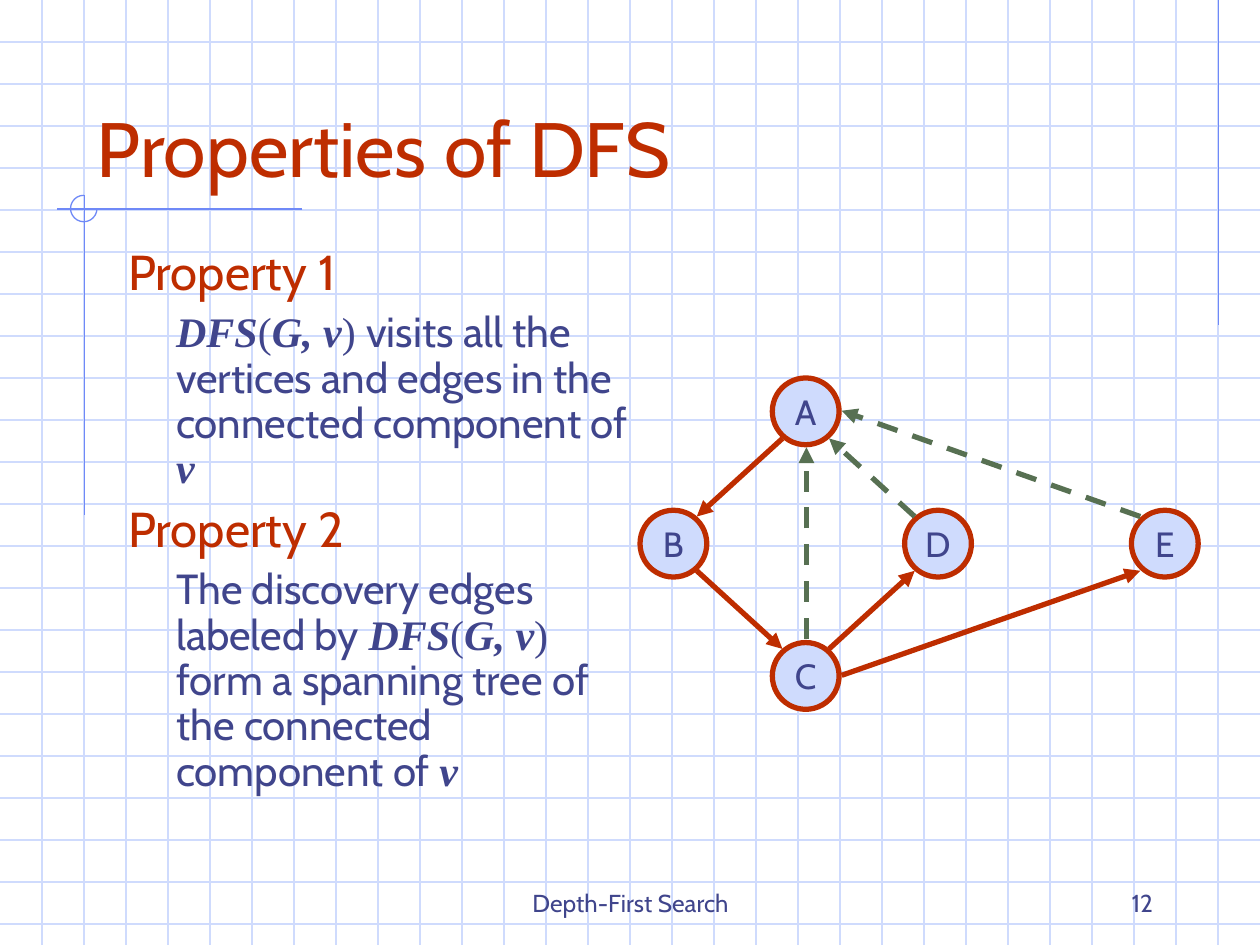
from lxml.etree import SubElement
from pptx import Presentation
from pptx.dml.color import RGBColor
from pptx.enum.dml import MSO_LINE
from pptx.enum.shapes import MSO_CONNECTOR, MSO_SHAPE
from pptx.enum.text import MSO_ANCHOR, PP_ALIGN
from pptx.oxml.ns import qn
from pptx.util import Inches, Pt

WIDTH, HEIGHT = 10, 7.5
GRID_STEP = 1 / 3
NODE_SIZE = 0.53

RED = "BE2D00"
INDIGO = "40458C"
PALE_BLUE = "CFDBFD"
BLUE = "6F89F7"
GREEN = "577052"

MATH = {"name": "Times New Roman"}
MATH_BOLD = {"name": "Times New Roman", "bold": True, "italic": True}
DFS_CALL = [("DFS", MATH_BOLD), ("(", MATH), ("G, v", MATH_BOLD), (") ", MATH)]

PROPERTIES = [
    ("Property 1", DFS_CALL + [
        ("visits all the vertices and edges in the connected component of ", {}),
        ("v", MATH_BOLD)]),
    ("Property 2", [("The discovery edges labeled by ", {})] + DFS_CALL + [
        ("form a spanning tree of the connected component of ", {}),
        ("v", MATH_BOLD)]),
]

NODES = {"A": (6.13, 3), "B": (5.08, 4.05), "C": (6.13, 5.1),
         "D": (7.18, 4.05), "E": (8.98, 4.05)}
DISCOVERY_EDGES = [
    ((6.21, 3.48), (5.53, 4.1)),    # A to B
    ((5.53, 4.53), (6.21, 5.15)),   # B to C
    ((6.58, 5.15), (7.26, 4.53)),   # C to D
    ((6.68, 5.36), (9.05, 4.53)),   # C to E
]
BACK_EDGES = [
    ((7.26, 4.1), (6.58, 3.48)),    # D to A
    ((6.4, 5.07), (6.4, 3.55)),     # C to A
    ((9.05, 4.1), (6.68, 3.26)),    # E to A
]


def color(value):
    return RGBColor.from_string(value)


def style_line(line, line_color, width):
    line.color.rgb = color(line_color)
    line.width = Pt(width)


def add_line(slide, start, end, line_color, width=0.75, dashed=False, arrow=False):
    points = [Inches(value) for value in (*start, *end)]
    connector = slide.shapes.add_connector(MSO_CONNECTOR.STRAIGHT, *points)
    style_line(connector.line, line_color, width)
    if dashed:
        connector.line.dash_style = MSO_LINE.DASH
    properties = connector._element.spPr
    if arrow:
        SubElement(properties.find(qn("a:ln")), qn("a:tailEnd"), type="triangle")
    SubElement(properties, qn("a:effectLst"))


def add_run(paragraph, text, size, text_color, **formats):
    run = paragraph.add_run()
    run.text = text
    for name, value in {"name": "Cabin", "size": Pt(size), **formats}.items():
        setattr(run.font, name, value)
    run.font.color.rgb = color(text_color)


def add_text_box(slide, box, anchor):
    frame = slide.shapes.add_textbox(*map(Inches, box)).text_frame
    frame.word_wrap = True
    frame.vertical_anchor = anchor
    return frame


def add_label(slide, box, text, size, text_color, alignment):
    paragraph = add_text_box(slide, box, MSO_ANCHOR.BOTTOM).paragraphs[0]
    paragraph.alignment = alignment
    add_run(paragraph, text, size, text_color)


def add_background(slide):
    for row in range(1, 23):
        y = row * GRID_STEP
        add_line(slide, (0, y), (WIDTH, y), PALE_BLUE)
    for column in range(1, 30):
        x = column * GRID_STEP
        add_line(slide, (x, 0), (x, HEIGHT), PALE_BLUE)
    add_line(slide, (9.67, 0), (9.67, 2.58), BLUE)
    add_line(slide, (2.4, 1.66), (0.45, 1.66), BLUE)
    add_line(slide, (0.67, 1.55), (0.67, 4.09), BLUE)
    arc = slide.shapes.add_shape(
        MSO_SHAPE.ARC, *map(Inches, (0.56, 1.55, 0.21, 0.21)))
    arc.shadow.inherit = False
    arc.adjustments[0] = 0
    arc.adjustments[1] = 162  # 270 degrees, in units of 1/60000 over 100000
    arc.fill.background()
    style_line(arc.line, BLUE, 0.75)


def add_properties(slide):
    frame = add_text_box(slide, (0.92, 1.92, 4.17, 4.5), MSO_ANCHOR.TOP)
    for index, (heading, runs) in enumerate(PROPERTIES):
        title = frame.add_paragraph() if index else frame.paragraphs[0]
        statement = frame.add_paragraph()
        for paragraph, space in ((title, 7), (statement, 6)):
            paragraph.line_spacing = 0.9
            paragraph.space_before = Pt(space)
        add_run(title, heading, 28, RED)
        statement._p.get_or_add_pPr().set("marL", str(Inches(0.38)))
        for text, formats in runs:
            add_run(statement, text, 24, INDIGO, **formats)


def add_node(slide, name, left, top):
    node = slide.shapes.add_shape(
        MSO_SHAPE.OVAL, *map(Inches, (left, top, NODE_SIZE, NODE_SIZE)))
    node.shadow.inherit = False
    node.fill.solid()
    node.fill.fore_color.rgb = color(PALE_BLUE)
    style_line(node.line, RED, 3)
    frame = node.text_frame
    frame.word_wrap = False
    frame.vertical_anchor = MSO_ANCHOR.MIDDLE
    frame.paragraphs[0].alignment = PP_ALIGN.CENTER
    add_run(frame.paragraphs[0], name, 20, INDIGO)


def add_graph(slide):
    for name, (left, top) in NODES.items():
        add_node(slide, name, left, top)
    for start, end in DISCOVERY_EDGES:
        add_line(slide, start, end, RED, 3, arrow=True)
    for start, end in BACK_EDGES:
        add_line(slide, start, end, GREEN, 3, dashed=True, arrow=True)


def main():
    presentation = Presentation()
    presentation.slide_width = Inches(WIDTH)
    presentation.slide_height = Inches(HEIGHT)
    slide = presentation.slides.add_slide(presentation.slide_layouts[6])
    add_background(slide)
    add_label(slide, (3.42, 6.83, 3.17, 0.5), "Depth-First Search", 14, INDIGO,
              PP_ALIGN.CENTER)
    add_label(slide, (7.17, 6.83, 2.08, 0.5), "12", 14, INDIGO, PP_ALIGN.RIGHT)
    add_label(slide, (0.67, 0.33, 8.5, 1.25), "Properties of DFS", 44, RED,
              PP_ALIGN.LEFT)
    add_properties(slide)
    add_graph(slide)
    presentation.save("out.pptx")


if __name__ == "__main__":
    main()
